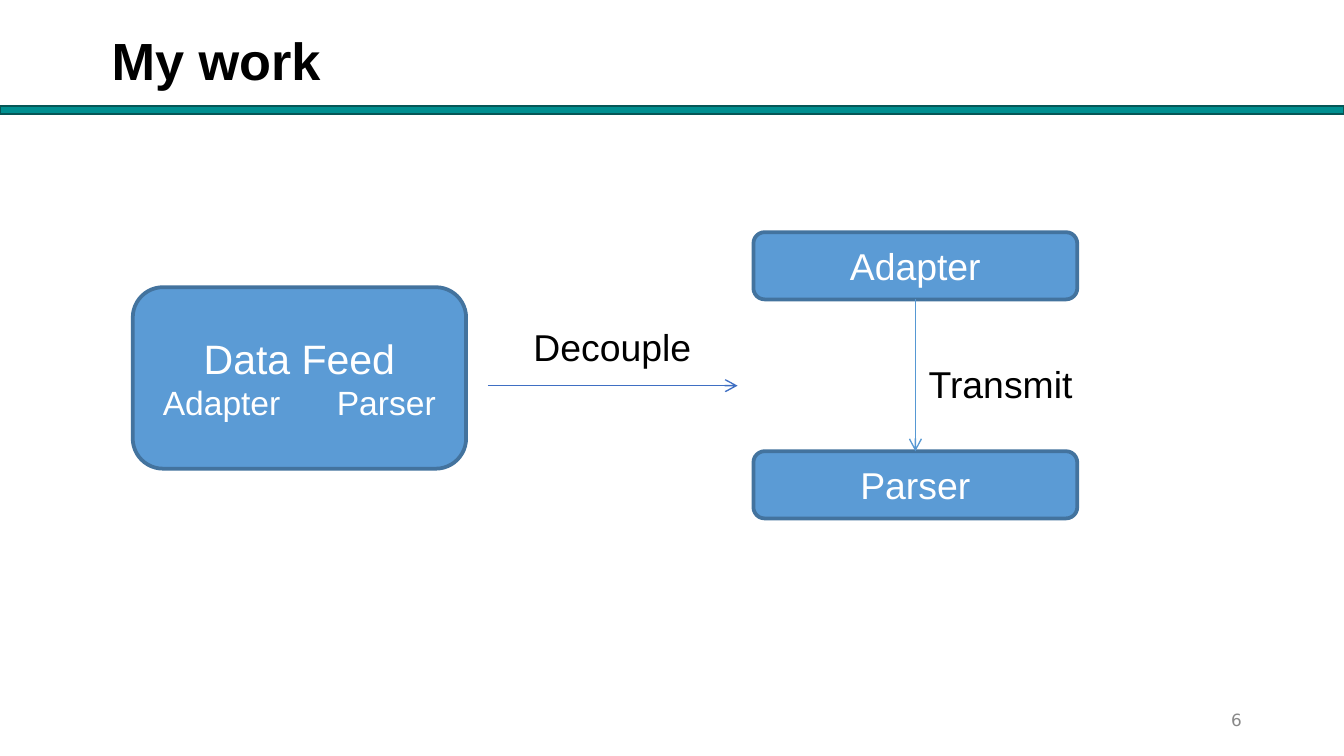
import pptx
import pptx.dml.color
import pptx.enum.shapes
import pptx.enum.text
import pptx.oxml
import pptx.oxml.ns
import pptx.util
from pptx.util import Cm

COLORS = {
    "text": "000000", "number": "888888", "band": "008F90", "band_edge": "065656",
    "node": "5B9BD5", "node_edge": "43739E", "node_text": "FFFFFF",
    "decouple": "3F6FC3", "transmit": "5698D3",
}
ALIGN = pptx.enum.text.PP_ALIGN
ANCHOR = pptx.enum.text.MSO_ANCHOR
SHAPE = pptx.enum.shapes.MSO_SHAPE
NODE_HEIGHT = 1.27


def rgb(name):
    """Return the named palette colour."""
    return pptx.dml.color.RGBColor.from_string(COLORS[name])


def style(paragraph, size, color, align=ALIGN.LEFT, bold=False, font="Arial"):
    """Format a paragraph and its runs."""
    paragraph.alignment = align
    for run in paragraph.runs:
        run.font.name = font
        run.font.size = pptx.util.Pt(size)
        run.font.bold = bold
        run.font.color.rgb = rgb(color)


def add_label(slide, box, text, size, color="text", inset=(0.25, 0.13),
              anchor=ANCHOR.TOP, **look):
    """Place a line of text in a box."""
    label = slide.shapes.add_textbox(*map(Cm, box))
    frame = label.text_frame
    frame.word_wrap = True
    frame.vertical_anchor = anchor
    frame.margin_left = frame.margin_right = Cm(inset[0])
    frame.margin_top = frame.margin_bottom = Cm(inset[1])
    frame.text = text
    style(frame.paragraphs[0], size, color, **look)


def add_block(slide, preset, box, fill, edge, edge_width):
    """Place a filled, outlined shape in a box."""
    block = slide.shapes.add_shape(preset, *map(Cm, box))
    block.shadow.inherit = False
    block.fill.solid()
    block.fill.fore_color.rgb = rgb(fill)
    block.line.color.rgb = rgb(edge)
    block.line.width = pptx.util.Pt(edge_width)
    return block


def add_node(slide, box, text, size):
    """Place a rounded node with centred text."""
    node = add_block(slide, SHAPE.ROUNDED_RECTANGLE, box, "node", "node_edge", 2)
    node.text_frame.word_wrap = True
    node.text_frame.vertical_anchor = ANCHOR.MIDDLE
    node.text_frame.text = text
    style(node.text_frame.paragraphs[0], size, "node_text", ALIGN.CENTER)
    return node


def add_arrow(slide, start, end, color):
    """Draw a thin arrow between two points."""
    arrow = slide.shapes.add_connector(
        pptx.enum.shapes.MSO_CONNECTOR.STRAIGHT, *map(Cm, start + end))
    arrow.line.color.rgb = rgb(color)
    arrow.line.width = pptx.util.Pt(0.75)
    properties = arrow._element.spPr
    head = pptx.oxml.parse_xml(
        f'<a:tailEnd {pptx.oxml.ns.nsdecls("a")} type="arrow"/>')
    properties.find(pptx.oxml.ns.qn("a:ln")).append(head)
    properties.append(pptx.oxml.parse_xml(
        f'<a:effectLst {pptx.oxml.ns.nsdecls("a")}/>'))
    return arrow


def add_header(slide, box, title):
    """Place the title above a full-width band."""
    left, top, width, height = box
    band_height = 0.16
    add_label(slide, (left + 1.93, top + 0.43, 7.47, 1.27), title, 28,
              inset=(0.18, 0.1), bold=True)
    add_block(slide, SHAPE.RECTANGLE,
              (left, top + height - band_height, width, band_height),
              "band", "band_edge", 1)


def add_data_feed(slide, box):
    """Place the combined node with its two parts side by side."""
    feed = add_node(slide, box, "Data Feed", 22)
    frame = feed.text_frame
    frame.margin_left = frame.margin_right = Cm(0.4)
    parts = frame.add_paragraph()
    parts.text = "Adapter\tParser"
    tabs = pptx.oxml.parse_xml(
        f'<a:tabLst {pptx.oxml.ns.nsdecls("a")}>'
        f'<a:tab pos="{Cm(3.29)}" algn="l"/></a:tabLst>')
    parts._p.get_or_add_pPr().append(tabs)
    style(parts, 18, "node_text")


def add_decoupling(slide, box):
    """Place the decoupling arrow along the bottom of a box, label above."""
    left, top, width, height = box
    bottom = top + height
    add_arrow(slide, (left, bottom), (left + width, bottom), "decouple")
    add_label(slide, (left + 0.61, top, 3.51, 1.12), "Decouple", 20)


def add_pipeline(slide, box):
    """Place the adapter above the parser and join them."""
    left, top, width, height = box
    middle = left + width / 2
    parser_top = top + height - NODE_HEIGHT
    adapter = add_node(slide, (left, top, width, NODE_HEIGHT), "Adapter", 20)
    parser = add_node(slide, (left, parser_top, width, NODE_HEIGHT), "Parser", 20)
    transmit = add_arrow(slide, (middle, top + NODE_HEIGHT),
                         (middle, parser_top), "transmit")
    transmit.begin_connect(adapter, 2)
    transmit.end_connect(parser, 0)
    add_label(slide, (middle, top + 2.31, 3.86, 1.12), "Transmit", 20)


def main():
    """Build and save the slide."""
    deck = pptx.Presentation()
    deck.slide_width, deck.slide_height = Cm(25.4), Cm(14.29)
    slide = deck.slides.add_slide(deck.slide_layouts[6])
    add_header(slide, (0, 0, 25.4, 2.16), "My work")
    add_data_feed(slide, (2.51, 5.43, 6.3, 3.43))
    add_decoupling(slide, (9.22, 5.99, 4.72, 1.3))
    add_pipeline(slide, (14.24, 4.39, 6.12, 5.41))
    add_label(slide, (17.93, 13.23, 5.72, 0.76), "6", 9, "number", (0.18, 0.1),
              ANCHOR.MIDDLE, align=ALIGN.RIGHT, font="DejaVu Sans")
    deck.save("out.pptx")


if __name__ == "__main__":
    main()
